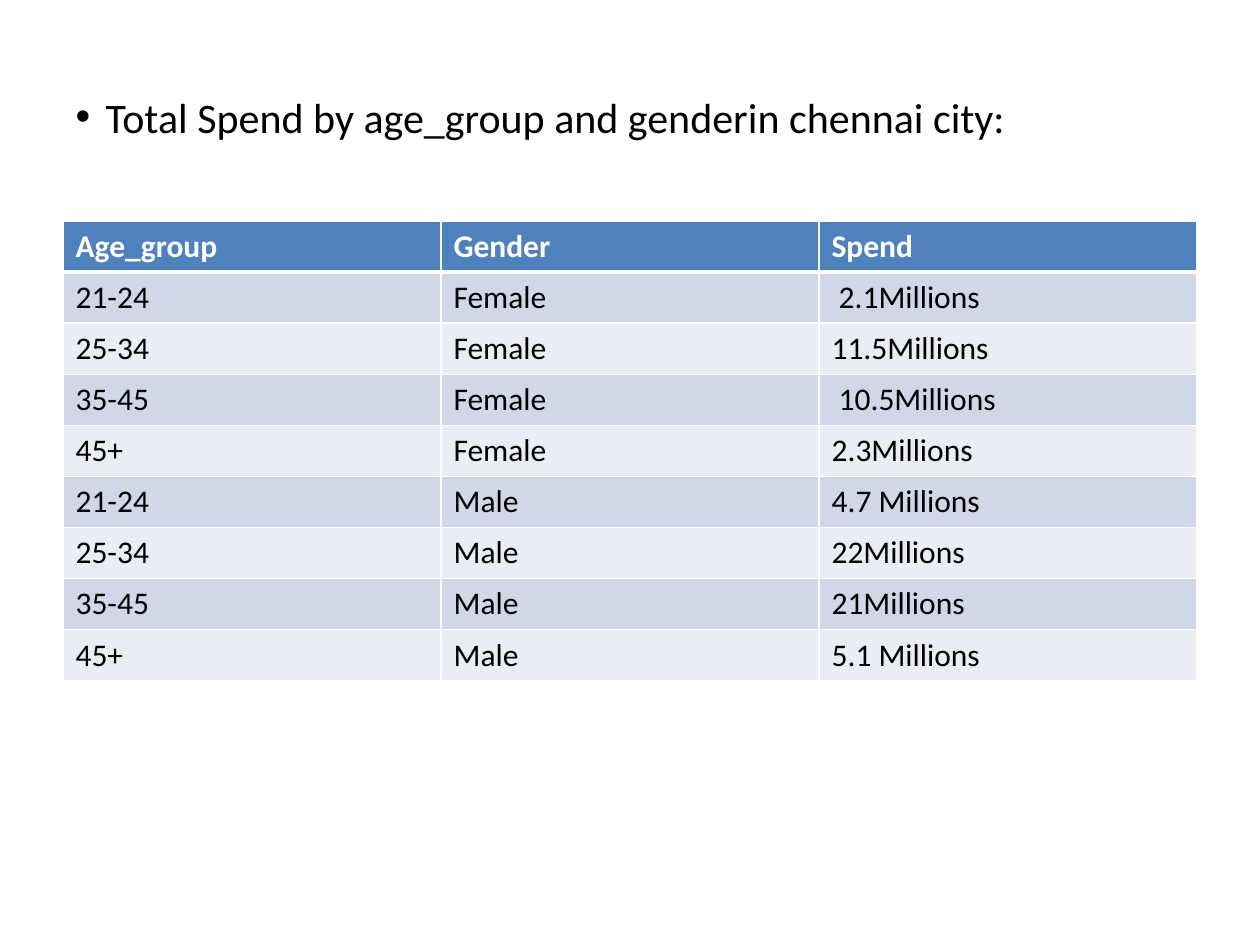
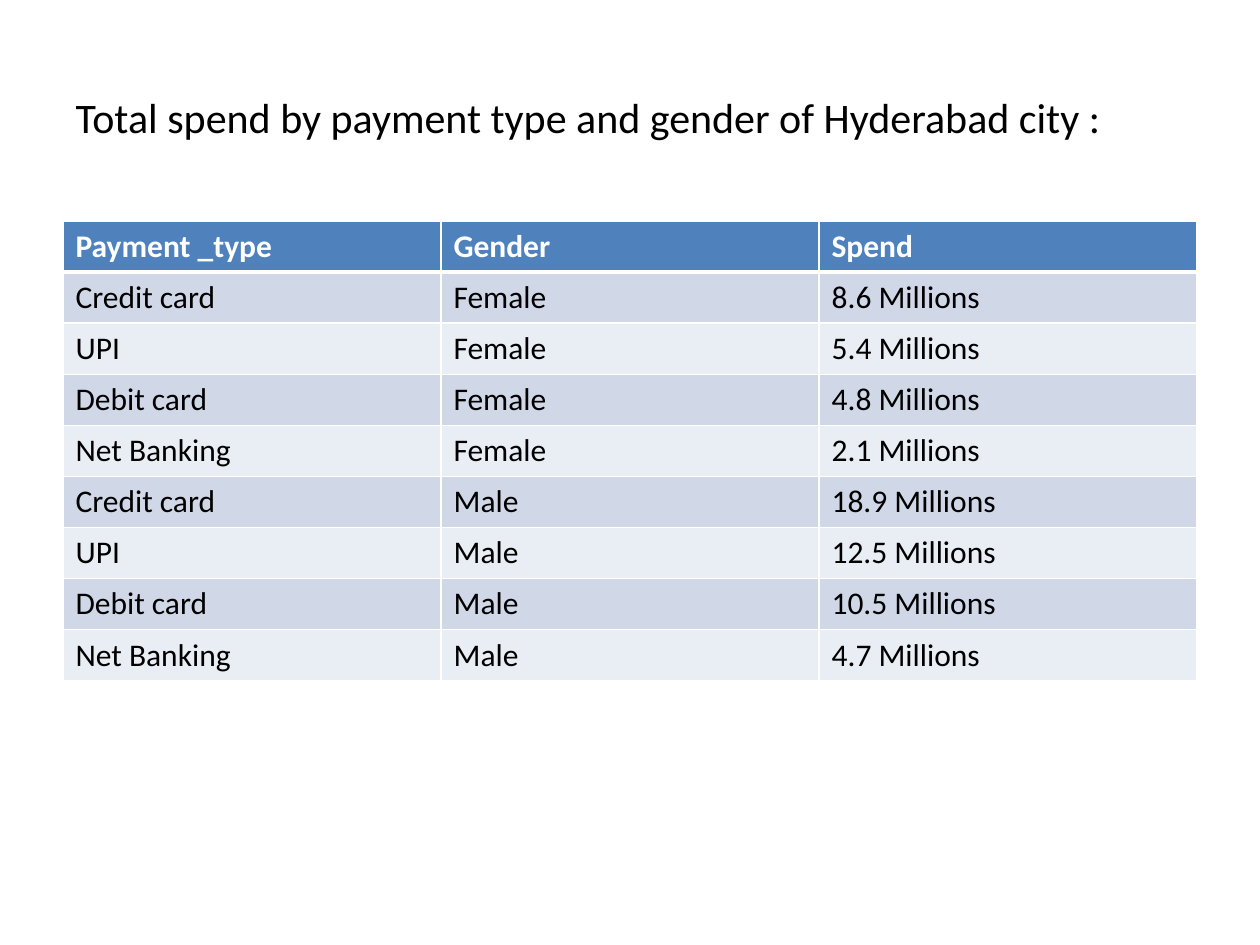
"""Build two slides that tabulate city spend by gender."""
from lxml import etree
from pptx import Presentation
from pptx.dml.color import RGBColor
from pptx.enum.text import MSO_ANCHOR, PP_ALIGN
from pptx.oxml.ns import qn
from pptx.util import Emu, Pt

LEFT, MIDDLE = PP_ALIGN.LEFT, MSO_ANCHOR.MIDDLE

SPENDS = [
    {
        "title": "Total Spend by age_group and genderin chennai city:",
        "bulleted": True,
        "header": ("Age_group", "Gender", "Spend"),
        "groups": ("21-24", "25-34", "35-45", "45+"),
        "spend": {
            "Female": (" 2.1Millions", "11.5Millions", " 10.5Millions", "2.3Millions"),
            "Male": ("4.7 Millions", "22Millions", "21Millions", "5.1 Millions"),
        },
    },
    {
        "title": "Total spend by payment type and gender of Hyderabad city :",
        "bulleted": False,
        "header": ("Payment _type", "Gender", "Spend"),
        "groups": ("Credit card", "UPI", "Debit card", "Net Banking"),
        "spend": {
            "Female": ("8.6 Millions", "5.4 Millions", "4.8 Millions", "2.1 Millions"),
            "Male": ("18.9 Millions", "12.5 Millions", "10.5 Millions", "4.7 Millions"),
        },
    },
]

COLORS = {
    "header": "4F81BD",
    "odd": "D0D8E8",
    "even": "E9EDF4",
    "rule": "FFFFFF",
    "header_text": "FFFFFF",
    "text": "000000",
}
FONT = "Calibri"
TITLE_SIZE, CELL_SIZE = 24, 18
THIN, THICK = 1, 3

SLIDE_W, SLIDE_H = 1260, 945
MARGIN = 63
CONTENT_W = SLIDE_W - 2 * MARGIN
TITLE_TOP, TITLE_H = 38, 157
TABLE_TOP, ROW_H = 221, 51
BULLET_INDENT = 30


def px(length):
    return Emu(round(length * 914400 / 126))


def style_runs(paragraph, size, color, bold=False):
    for run in paragraph.runs:
        run.font.name = FONT
        run.font.size = Pt(size)
        run.font.bold = bold
        run.font.color.rgb = RGBColor.from_string(COLORS[color])


def add_bullet(paragraph):
    properties = paragraph._p.get_or_add_pPr()
    properties.set("marL", str(px(BULLET_INDENT)))
    properties.set("indent", str(-px(BULLET_INDENT)))
    etree.SubElement(properties, qn("a:buFont"), typeface="Arial")
    etree.SubElement(properties, qn("a:buChar"), char="•")


def fill_title(title, text, bulleted):
    title.left, title.top = px(MARGIN), px(TITLE_TOP)
    title.width, title.height = px(CONTENT_W), px(TITLE_H)
    title.text_frame.text = text
    title.text_frame.vertical_anchor = MIDDLE
    paragraph = title.text_frame.paragraphs[0]
    paragraph.alignment = LEFT
    style_runs(paragraph, TITLE_SIZE, "text")
    if bulleted:
        add_bullet(paragraph)


def rule_cell(cell, top, bottom):
    properties = cell._tc.get_or_add_tcPr()
    for side, weight in (("L", THIN), ("R", THIN), ("T", top), ("B", bottom)):
        line = etree.SubElement(properties, qn(f"a:ln{side}"), w=str(Pt(weight)))
        fill = etree.SubElement(line, qn("a:solidFill"))
        etree.SubElement(fill, qn("a:srgbClr"), val=COLORS["rule"])


def add_spend_table(slide, rows):
    columns = len(rows[0])
    table = slide.shapes.add_table(
        len(rows), columns, px(MARGIN), px(TABLE_TOP), px(CONTENT_W), px(ROW_H * len(rows))
    ).table
    for r, row in enumerate(rows):
        is_header = r == 0
        band = "header" if is_header else "odd" if r % 2 else "even"
        for c, text in enumerate(row):
            cell = table.cell(r, c)
            rule_cell(cell, THICK if r == 1 else THIN, THICK if is_header else THIN)
            cell.fill.solid()
            cell.fill.fore_color.rgb = RGBColor.from_string(COLORS[band])
            cell.text_frame.text = text
            style_runs(cell.text_frame.paragraphs[0], CELL_SIZE,
                       "header_text" if is_header else "text", is_header)


def main():
    deck = Presentation()
    deck.slide_width, deck.slide_height = px(SLIDE_W), px(SLIDE_H)
    title_only = deck.slide_layouts[5]
    for city in SPENDS:
        slide = deck.slides.add_slide(title_only)
        fill_title(slide.shapes.title, city["title"], city["bulleted"])
        rows = [city["header"]] + [
            (group, gender, amount)
            for gender, amounts in city["spend"].items()
            for group, amount in zip(city["groups"], amounts)
        ]
        add_spend_table(slide, rows)
    deck.save("out.pptx")


if __name__ == "__main__":
    main()
